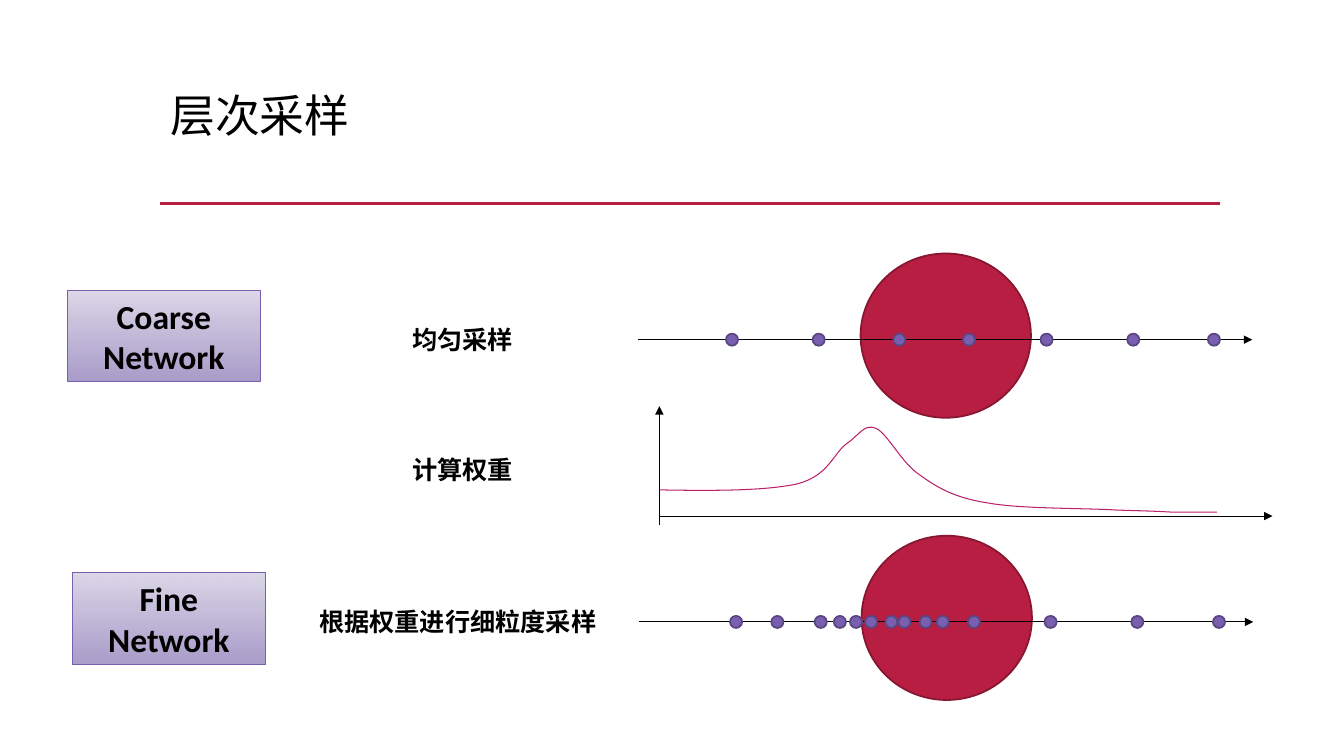
from lxml import etree
from pptx import Presentation
from pptx.dml.color import RGBColor
from pptx.enum.shapes import MSO_CONNECTOR, MSO_SHAPE
from pptx.enum.text import MSO_ANCHOR, MSO_AUTO_SIZE, PP_ALIGN
from pptx.oxml.ns import qn
from pptx.util import Inches, Pt

STRAIGHT = MSO_CONNECTOR.STRAIGHT
ELLIPSE, RECTANGLE = MSO_SHAPE.OVAL, MSO_SHAPE.RECTANGLE
CENTER, LEFT = PP_ALIGN.CENTER, PP_ALIGN.LEFT
MIDDLE = MSO_ANCHOR.MIDDLE
FIT_TEXT = MSO_AUTO_SIZE.SHAPE_TO_FIT_TEXT

SLIDE_W, SLIDE_H = Inches(13.33), Inches(7.5)
COLUMNS, ROWS = 13.33, 7.5

BLACK = RGBColor(0x00, 0x00, 0x00)
CRIMSON = RGBColor(0xB7, 0x1E, 0x42)
DARK_CRIMSON = RGBColor(0x87, 0x16, 0x31)
MAGENTA = RGBColor(0xBA, 0x21, 0x69)
PURPLE = RGBColor(0x79, 0x5F, 0xAF)
DARK_PURPLE = RGBColor(0x5A, 0x46, 0x81)
PALE_LILAC = RGBColor(0xDC, 0xD8, 0xE8)
LILAC = RGBColor(0xA3, 0x95, 0xC6)

CJK_FONT = "Noto Sans CJK SC"
TITLE_FONT = {"name": CJK_FONT, "size": Pt(32), "bold": False}
LABEL_FONT = {"name": "Calibri", "size": Pt(18), "bold": True}
NETWORK_FONT = {"name": "Calibri", "size": Pt(24), "bold": True}

DOT = 0.12
OBJECT_W, OBJECT_H = 1.69, 1.63
COARSE_Y, FINE_Y = 3.37, 6.17
COARSE_SAMPLES = [7.26, 8.12, 8.92, 9.61, 10.38, 11.24, 12.04]
FINE_SAMPLES = [7.3, 7.71, 8.14, 8.33, 8.49, 8.64, 8.84, 8.97, 9.18, 9.35,
                9.66, 10.42, 11.28, 12.09]
WEIGHT_CURVE = [
    (6.54, 4.86), (7.07, 4.87), (7.6, 4.87), (7.91, 4.8),
    (8.22, 4.72), (8.27, 4.49), (8.4, 4.4),
    (8.53, 4.31), (8.57, 4.2), (8.69, 4.25),
    (8.81, 4.31), (8.94, 4.59), (9.12, 4.71),
    (9.3, 4.84), (9.47, 4.94), (9.8, 4.99),
    (10.12, 5.05), (10.77, 5.04), (11.07, 5.06),
    (11.37, 5.07), (11.44, 5.07), (11.61, 5.08),
    (11.78, 5.08), (11.92, 5.08), (12.07, 5.08),
]


def place(x, y):
    """Turn columns and rows into slide lengths."""
    return round(SLIDE_W * x / COLUMNS), round(SLIDE_H * y / ROWS)


def write(frame, lines, font, align):
    """Write one paragraph per line in the given font."""
    frame.text = "\n".join(lines)
    for paragraph in frame.paragraphs:
        paragraph.alignment = align
        for run in paragraph.runs:
            for name, value in font.items():
                setattr(run.font, name, value)
            run.font.color.rgb = BLACK
            east_asian = etree.SubElement(run.font._element, qn("a:ea"))
            east_asian.set("typeface", CJK_FONT)


def outline(shape, color, width):
    """Set the line of a shape or connector."""
    shape.line.color.rgb = color
    shape.line.width = Pt(width)


def add_line(slide, start, end, color=BLACK, width=0.75, arrow=True):
    """Draw a straight line, with an arrowhead at its end if wanted."""
    line = slide.shapes.add_connector(STRAIGHT, *place(*start), *place(*end))
    outline(line, color, width)
    if arrow:
        head = etree.SubElement(line.line._get_or_add_ln(), qn("a:tailEnd"))
        head.set("type", "triangle")
    etree.SubElement(line._element.spPr, qn("a:effectLst"))


def add_ellipse(slide, center, size, fill, edge):
    """Draw a filled ellipse around a center."""
    (x, y), (w, h) = center, size
    ellipse = slide.shapes.add_shape(
        ELLIPSE, *place(x - w / 2, y - h / 2), *place(w, h))
    ellipse.shadow.inherit = False
    ellipse.fill.solid()
    ellipse.fill.fore_color.rgb = fill
    outline(ellipse, edge, 1.25)


def add_title(slide, text):
    """Write the title and the rule below it."""
    add_line(slide, (1.59, 2.02), (12.1, 2.02), CRIMSON, 2.5, arrow=False)
    title = slide.shapes.add_textbox(*place(1.59, 0.88), *place(10.5, 1.15))
    title.text_frame.word_wrap = True
    write(title.text_frame, [text], TITLE_FONT, LEFT)
    title.text_frame.paragraphs[0].line_spacing = 0.9


def add_label(slide, text, center, y):
    """Write a step label as wide as its characters need."""
    width = 0.25 * len(text) + 0.2
    label = slide.shapes.add_textbox(
        *place(center - width / 2, y - 0.2), *place(width, 0.4))
    label.text_frame.word_wrap = False
    label.text_frame.auto_size = FIT_TEXT
    write(label.text_frame, [text], LABEL_FONT, CENTER)


def add_network(slide, lines, left, y):
    """Draw a network box with a vertical gradient."""
    box = slide.shapes.add_shape(
        RECTANGLE, *place(left, y - 0.49), *place(1.91, 0.91))
    box.shadow.inherit = False
    box.fill.gradient()
    box.fill.gradient_angle = 270
    for stop, color in zip(box.fill.gradient_stops, (PALE_LILAC, LILAC)):
        stop.color.rgb = color
    bottom_color = box._element.spPr.findall(".//" + qn("a:srgbClr"))[-1]
    etree.SubElement(bottom_color, qn("a:alpha")).set("val", "92000")
    outline(box, PURPLE, 0.75)
    box.text_frame.vertical_anchor = MIDDLE
    write(box.text_frame, lines, NETWORK_FONT, CENTER)


def add_ray(slide, start, y, samples):
    """Draw a ray through the object with its sample points."""
    add_ellipse(slide, (start + 3.05, y - 0.04), (OBJECT_W, OBJECT_H),
                CRIMSON, DARK_CRIMSON)
    add_line(slide, (start, y), (start + 6.09, y))
    for x in samples:
        add_ellipse(slide, (x, y), (DOT, DOT), PURPLE, DARK_PURPLE)


def add_curve(slide, points):
    """Draw a smooth open curve from Bézier control points."""
    start, *controls = [place(*point) for point in points]
    builder = slide.shapes.build_freeform(*start)
    builder.add_line_segments(controls, close=False)
    curve = builder.convert_to_shape()
    segments = list(curve._element.iter(qn("a:lnTo")))
    outline_path = segments[0].getparent()
    for first in range(0, len(segments), 3):
        bend = etree.SubElement(outline_path, qn("a:cubicBezTo"))
        for segment in segments[first:first + 3]:
            bend.append(segment[0])
            outline_path.remove(segment)
    curve.shadow.inherit = False
    curve.fill.background()
    outline(curve, MAGENTA, 0.75)


def add_weights(slide):
    """Draw the weight curve on its two axes."""
    add_curve(slide, WEIGHT_CURVE)
    add_line(slide, (6.54, 5.21), (6.54, 4.03))
    add_line(slide, (6.54, 5.12), (12.62, 5.12))


def main():
    """Build the slide and save it."""
    deck = Presentation()
    deck.slide_width, deck.slide_height = SLIDE_W, SLIDE_H
    slide = deck.slides.add_slide(deck.slide_layouts[6])
    add_title(slide, "层次采样")
    add_ray(slide, 6.33, COARSE_Y, COARSE_SAMPLES)
    add_label(slide, "均匀采样", 4.59, COARSE_Y)
    add_label(slide, "计算权重", 4.59, 4.66)
    add_label(slide, "根据权重进行细粒度采样", 4.54, FINE_Y)
    add_weights(slide)
    add_ray(slide, 6.34, FINE_Y, FINE_SAMPLES)
    add_network(slide, ["Coarse", "Network"], 0.67, COARSE_Y)
    add_network(slide, ["Fine", "Network"], 0.72, FINE_Y)
    deck.save("out.pptx")


if __name__ == "__main__":
    main()
